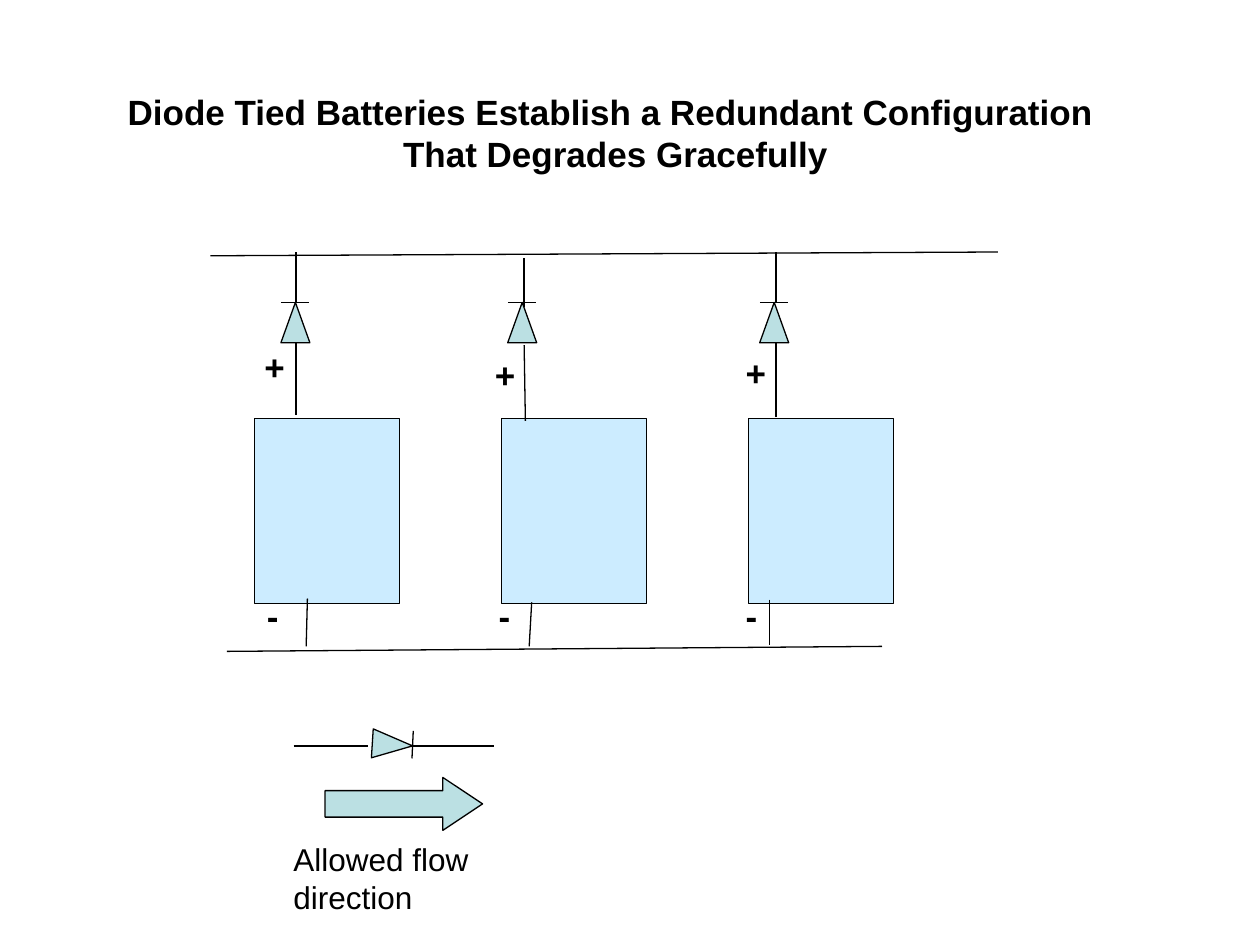
from dataclasses import dataclass

from lxml.etree import SubElement
from pptx import Presentation
from pptx.dml.color import RGBColor
from pptx.enum.shapes import MSO_CONNECTOR as Link, MSO_SHAPE as Shape
from pptx.enum.text import MSO_ANCHOR as Anchor, MSO_AUTO_SIZE as AutoSize, PP_ALIGN as Align
from pptx.oxml.ns import qn
from pptx.util import Inches, Pt

# The slide is a grid of 100 columns by 75 rows
CELL = Inches(0.1)
COLUMNS, ROWS = 100, 75


@dataclass(frozen=True)
class Theme:
    font: str = "Arial"
    ink: RGBColor = RGBColor(0x00, 0x00, 0x00)
    battery: RGBColor = RGBColor(0xCC, 0xEC, 0xFF)
    symbol: RGBColor = RGBColor(0xBB, 0xE0, 0xE3)
    heading_size: Pt = Pt(20)
    caption_size: Pt = Pt(18)
    line_width: Pt = Pt(0.75)


THEME = Theme()
HEADING = {"size": THEME.heading_size, "bold": True}
CAPTION = {"size": THEME.caption_size, "bold": False}

# Batteries stand at an equal pitch
FIRST_BATTERY, PITCH = 20.2, 19.6
BATTERY_TOP, BATTERY_WIDTH, BATTERY_HEIGHT = 33.2, 11.5, 14.7
DIODE_TOP, DIODE_WIDTH, DIODE_HEIGHT = 24, 2.3, 3.2
SIGN_HEIGHT, PLUS_WIDTH, MINUS_WIDTH, MINUS_TOP = 4.4, 3.6, 2.9, 46.7

# Each branch: diode column, sign positions, and wires as (x1, y1, x2, y2)
BRANCHES = [
    {"diode": 22.3, "plus": (20, 26.9), "minus": 20.2,
     "wires": [(23.5, 32.9, 23.5, 27.2), (23.5, 24, 23.5, 20), (24.3, 51.3, 24.4, 47.5)]},
    {"diode": 40.3, "plus": (38.3, 27.6), "minus": 38.6,
     "wires": [(41.7, 33.4, 41.6, 27.4), (41.6, 24.4, 41.6, 20.5), (42.2, 47.8, 42, 51.3)]},
    {"diode": 60.3, "plus": (58.2, 27.4), "minus": 58.2,
     "wires": [(61.6, 33.1, 61.6, 27.2), (61.6, 24, 61.6, 20), (61.1, 47.6, 61.1, 51.2)]},
]
BUSES = [(16.7, 20.3, 79.2, 20), (18, 51.7, 70, 51.3)]
LEGEND_WIRES = [(32.8, 58, 32.7, 60.2), (23.3, 59.2, 29.2, 59.2), (32.5, 59.2, 39.2, 59.2)]


def cells(*counts):
    return [round(count * CELL) for count in counts]


def add_wire(slide, ends):
    wire = slide.shapes.add_connector(Link.STRAIGHT, *cells(*ends))
    wire.line.color.rgb = THEME.ink
    wire.line.width = THEME.line_width
    SubElement(wire.line._get_or_add_ln().getparent(), qn("a:effectLst"))


def add_part(slide, kind, box, fill, rotation=0):
    part = slide.shapes.add_shape(kind, *cells(*box))
    part.shadow.inherit = False
    part.fill.solid()
    part.fill.fore_color.rgb = fill
    part.line.color.rgb = THEME.ink
    part.line.width = THEME.line_width
    part.rotation = rotation
    return part


def write(frame, lines, style, align=Align.LEFT):
    settings = {"word_wrap": False, "auto_size": AutoSize.SHAPE_TO_FIT_TEXT,
                "vertical_anchor": Anchor.TOP}
    for name, value in settings.items():
        setattr(frame, name, value)
    frame.text = "\n".join(lines)
    for paragraph in frame.paragraphs:
        paragraph.alignment = align
        for name, value in {"name": THEME.font, **style}.items():
            setattr(paragraph.font, name, value)
        paragraph.font.color.rgb = THEME.ink


def add_label(slide, words, box, style):
    label = slide.shapes.add_textbox(*cells(*box))
    write(label.text_frame, [words], style)


def set_title(slide, lines, box):
    title = slide.shapes.title
    title.left, title.top, title.width, title.height = cells(*box)
    write(title.text_frame, lines, HEADING, Align.CENTER)


def add_branch(slide, index, branch):
    # Battery
    left = FIRST_BATTERY + index * PITCH
    add_part(slide, Shape.RECTANGLE,
             (left, BATTERY_TOP, BATTERY_WIDTH, BATTERY_HEIGHT), THEME.battery)
    # Diode and its bar
    diode = branch["diode"]
    add_part(slide, Shape.ISOSCELES_TRIANGLE,
             (diode, DIODE_TOP, DIODE_WIDTH, DIODE_HEIGHT), THEME.symbol)
    add_wire(slide, (diode, DIODE_TOP, diode + 2.2, DIODE_TOP))
    for ends in branch["wires"]:
        add_wire(slide, ends)
    # Polarity signs
    add_label(slide, "+", (*branch["plus"], PLUS_WIDTH, SIGN_HEIGHT), HEADING)
    add_label(slide, "-", (branch["minus"], MINUS_TOP, MINUS_WIDTH, SIGN_HEIGHT), HEADING)


def add_legend(slide):
    add_part(slide, Shape.ISOSCELES_TRIANGLE,
             (30, 57.5, DIODE_WIDTH, DIODE_HEIGHT), THEME.symbol, rotation=93.6)
    for ends in LEGEND_WIRES:
        add_wire(slide, ends)
    flow = add_part(slide, Shape.RIGHT_ARROW, (25.8, 61.7, 12.5, 4.2), THEME.symbol)
    flow.adjustments[0], flow.adjustments[1] = 0.5, 0.75
    add_label(slide, "Allowed flow direction", (22.3, 66.2, 26, 4), CAPTION)


def main():
    deck = Presentation()
    deck.slide_width, deck.slide_height = cells(COLUMNS, ROWS)
    slide = deck.slides.add_slide(deck.slide_layouts[5])

    set_title(slide, ["Diode Tied Batteries Establish a Redundant Configuration ",
                      "That Degrades Gracefully"], (9.1, 6.7, 79.5, 7.7))
    for bus in BUSES:
        add_wire(slide, bus)
    for index, branch in enumerate(BRANCHES):
        add_branch(slide, index, branch)
    add_legend(slide)

    deck.save("out.pptx")


if __name__ == "__main__":
    main()
